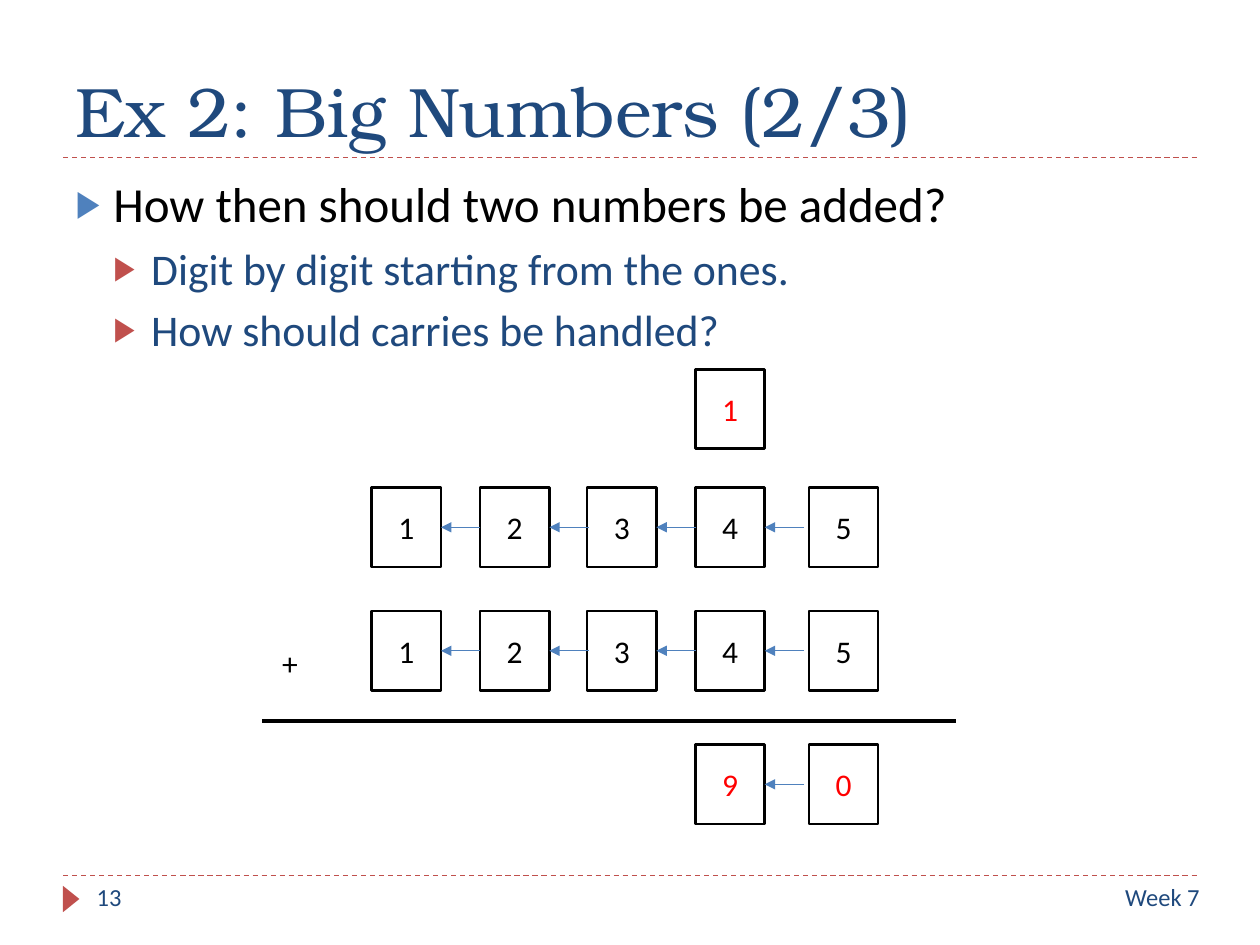
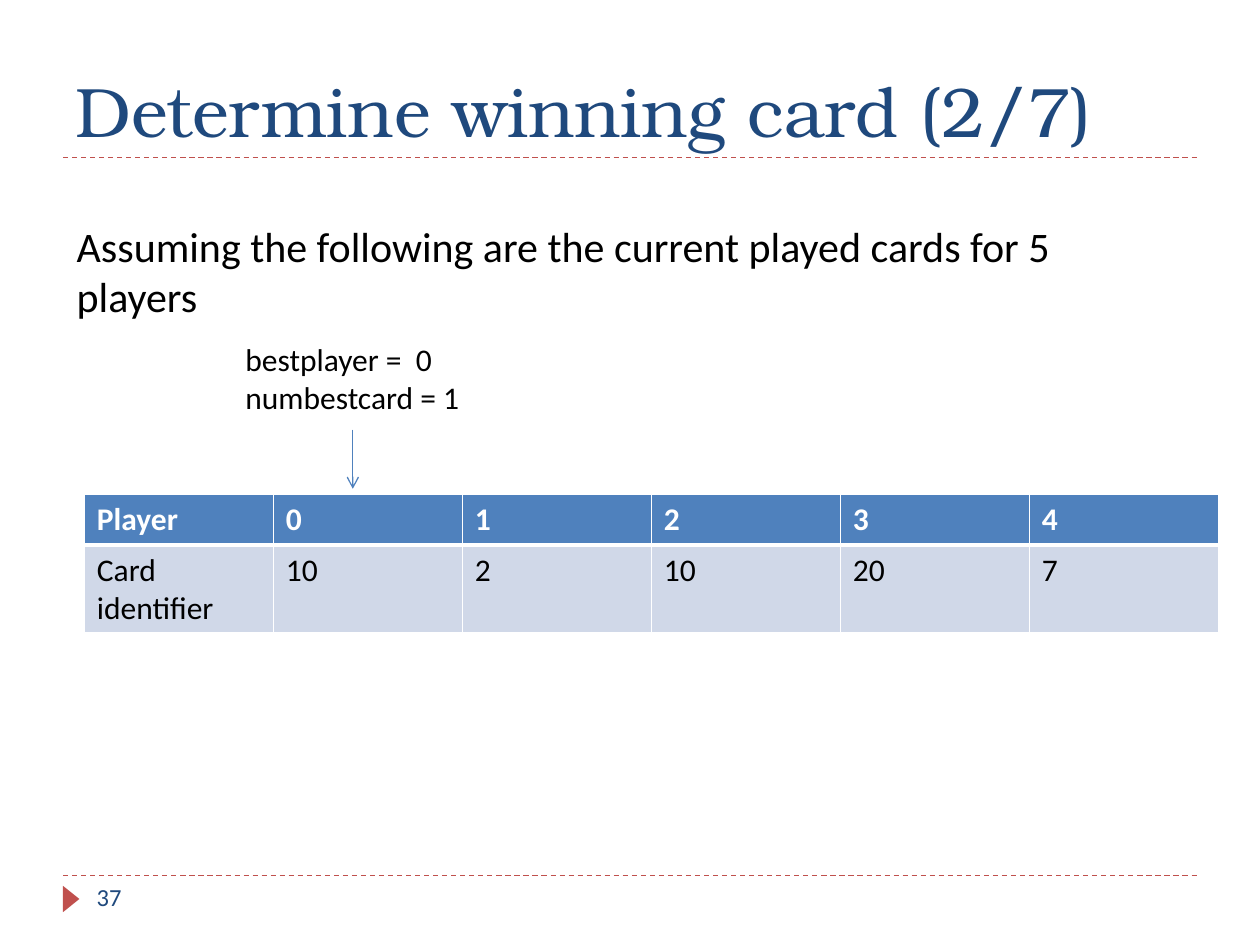
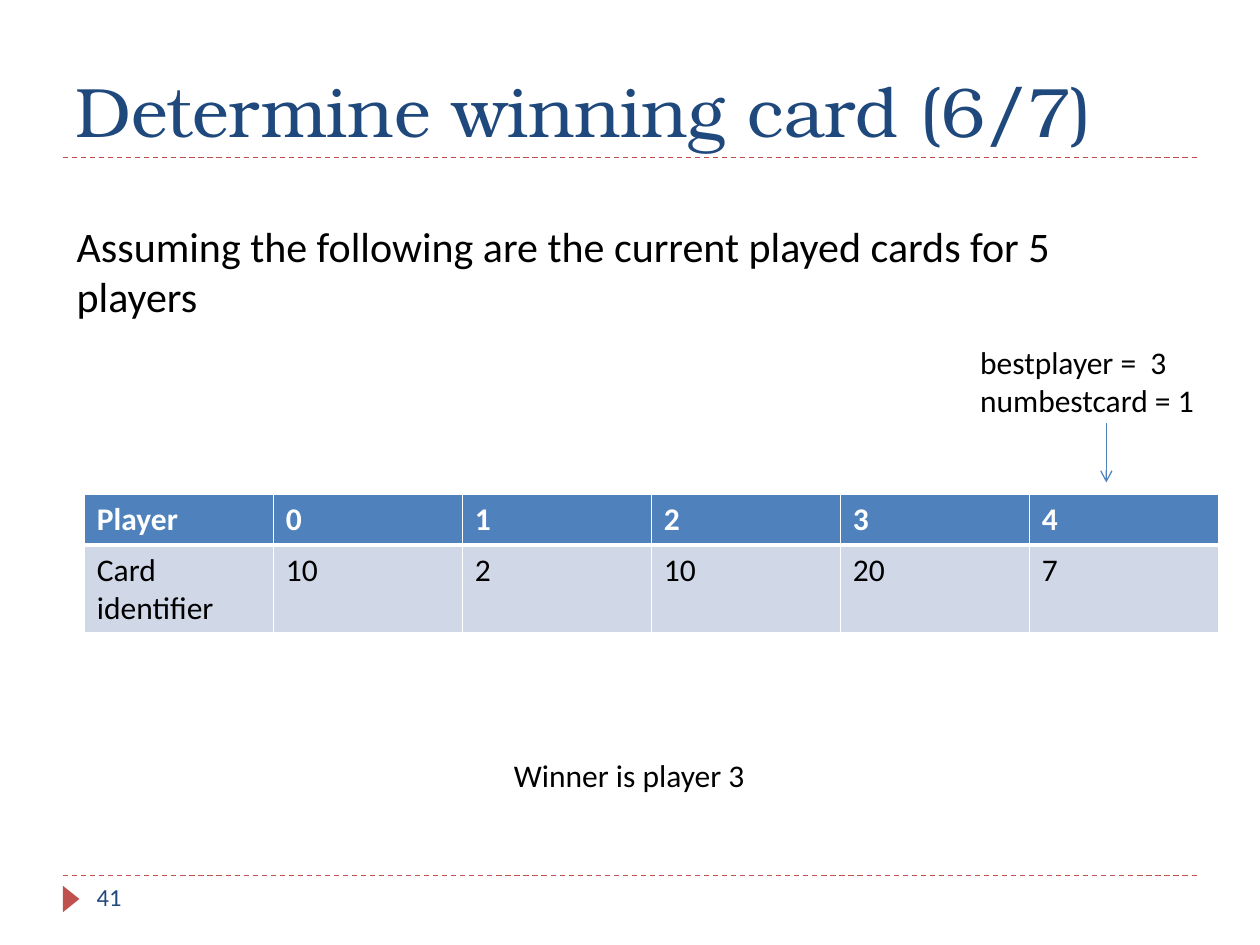
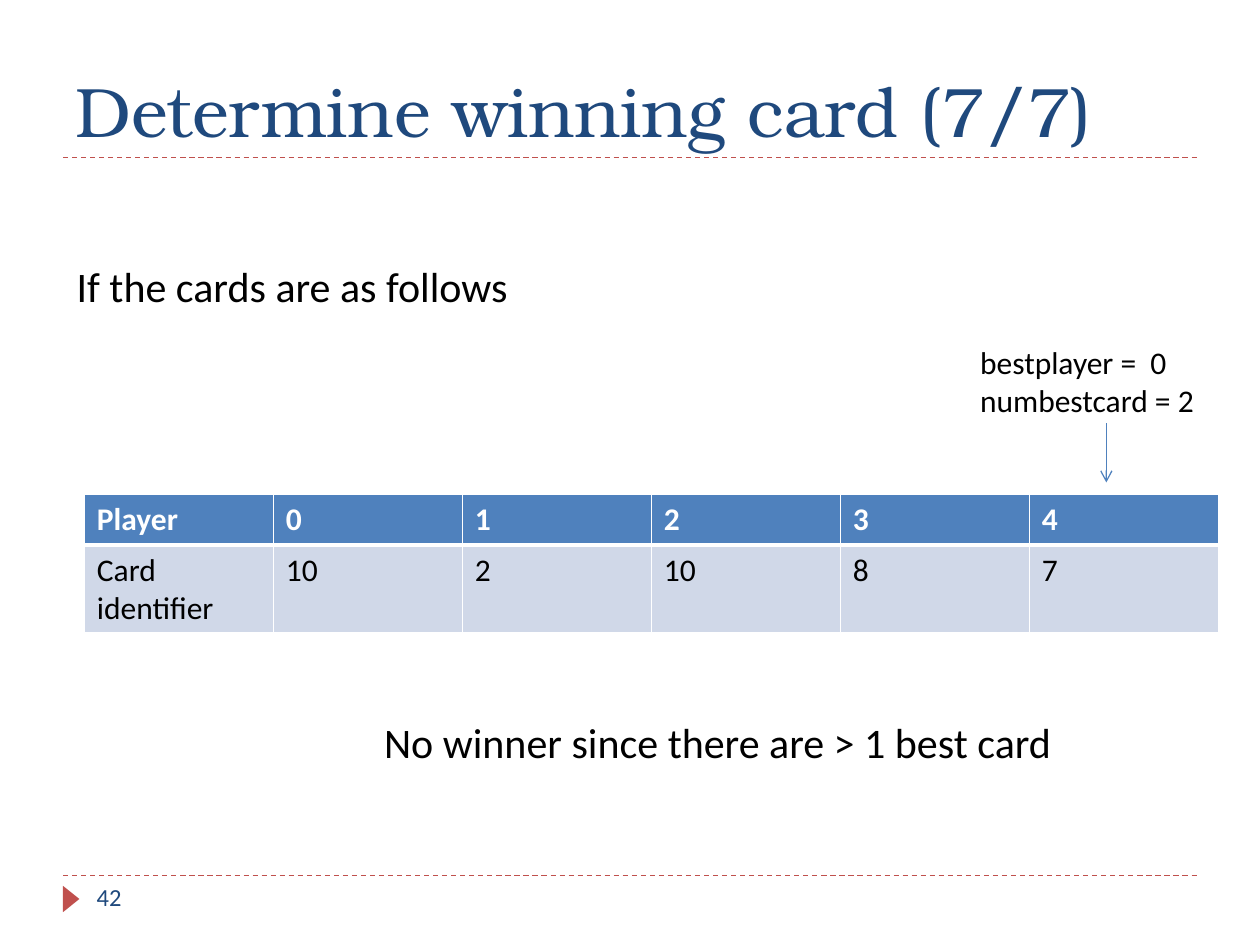
from lxml.etree import SubElement
from pptx import Presentation
from pptx.dml.color import RGBColor
from pptx.enum.dml import MSO_LINE
from pptx.enum.shapes import MSO_CONNECTOR, MSO_SHAPE
from pptx.enum.text import MSO_ANCHOR, MSO_AUTO_SIZE, PP_ALIGN
from pptx.oxml import parse_xml
from pptx.oxml.ns import nsdecls, qn
from pptx.util import Pt

# Shared style
NAVY, BLUE, RED, PALE = "1F497D", "4F81BD", "C0504D", "D0D8E8"
BLACK, WHITE, DIGIT_RED = "000000", "FFFFFF", "FF0000"
TITLE_FONT, TEXT_FONT = "TeX Gyre Bonum", "Calibri"
RULE_LEFT, RULE_RIGHT, TITLE_RULE, FOOTER_RULE = 36, 684, 90, 500.4

# Addition slide: bullets are (level, text), rows are (top, digits, colour, linked)
ADDITION = {
    "title": "Ex 2: Big Numbers (2/3)", "number": 13, "footer": "Week 7",
    "bullets": [(0, "How then should two numbers be added?"),
                (1, "Digit by digit starting from the ones."),
                (1, "How should carries be handled?")],
    "rows": [(211, {3: "1"}, DIGIT_RED),
             (278.6, dict(enumerate("12345")), BLACK),
             (349.2, dict(enumerate("12345")), BLACK),
             (425.5, {3: "9", 4: "0"}, DIGIT_RED)],
}
# Indent, space before, size, text colour and bullet colour of each level
LEVELS = [(21.6, 6, 28, BLACK, BLUE), (43.2, 5, 25, NAVY, RED)]
DIGIT_LEFTS = [212.4, 274.3, 335.5, 397.4, 462.2]
DIGIT_WIDTH, DIGIT_HEIGHT, LINK_LENGTH = 39.6, 45.4, 22.5

# Card slides: texts are (text, left, top, width, height, size)
PLAYERS = ["Player", "0", "1", "2", "3", "4"]
INTRO = ("Assuming the following are the current played cards for 5 players",
         36.7, 122.4, 572.4, 65.4, 24)
CARDS = ["Card identifier", "10", "2", "10", "20", "7"]
TIED_CARDS = ["Card identifier", "10", "2", "10", "8", "7"]
CARD_SLIDES = [
    {"title": "Determine winning card (2/7)", "number": 37, "cards": CARDS,
     "arrow": (201.6, 245.5),
     "texts": [INTRO, ("bestplayer =  0\nnumbestcard = 1", 133.2, 190.8, 158.4, 50.9, 18)]},
    {"title": "Determine winning card (6/7)", "number": 41, "cards": CARDS,
     "arrow": (632.2, 241.9),
     "texts": [INTRO, ("bestplayer =  3\nnumbestcard = 1", 553, 192.5, 158.4, 50.9, 18),
               ("Winner is player 3", 286.6, 428.4, 289.4, 29.1, 18)]},
    {"title": "Determine winning card (7/7)", "number": 42, "cards": TIED_CARDS,
     "arrow": (632.2, 241.9),
     "texts": [("If the cards are as follows", 36.7, 145.4, 572.4, 36.4, 24),
               ("bestplayer =  0\nnumbestcard = 2", 553, 192.5, 158.4, 50.9, 18),
               ("No winner since there are > 1 best card", 212.4, 406.1, 453.6, 36.4, 24)]},
]
TABLE_LEFT, TABLE_TOP, COLUMN_WIDTH, ROW_HEIGHTS = 48.2, 282.2, 108, (29.2, 50.4)
ARROW_LENGTH = 33.8


def colour(code):
    return RGBColor.from_string(code)


def points(*lengths):
    return [Pt(length) for length in lengths]


def place(shape, *bounds):
    shape.left, shape.top, shape.width, shape.height = points(*bounds)


def style(frame, size, code, font=TEXT_FONT, align=PP_ALIGN.LEFT, bold=False):
    for para in frame.paragraphs:
        para.alignment = align
        for span in para.runs:
            span.font.name, span.font.size, span.font.bold = font, Pt(size), bold
            span.font.color.rgb = colour(code)


def add_text(page, text, left, top, width, height, size,
             code=BLACK, align=PP_ALIGN.LEFT, wrap=True):
    box = page.shapes.add_textbox(*points(left, top, width, height))
    frame = box.text_frame
    frame.word_wrap = wrap
    frame.text = text
    style(frame, size, code, align=align)


def add_line(shapes, start, end, code, width=0.75, dashed=False, head=None):
    line = shapes.add_connector(MSO_CONNECTOR.STRAIGHT, *points(*start, *end))
    line.line.color.rgb = colour(code)
    line.line.width = Pt(width)
    if dashed:
        line.line.dash_style = MSO_LINE.DASH
    if head:
        SubElement(line.line._get_or_add_ln(), qn("a:tailEnd"), type=head)
    SubElement(line._element.spPr, qn("a:effectLst"))


def add_page(layout, content):
    """Add a slide with its title, both dashed rules, marker and footer."""
    page = deck.slides.add_slide(deck.slide_layouts[layout])
    for y in (FOOTER_RULE, TITLE_RULE):
        add_line(page.shapes, (RULE_LEFT, y), (RULE_RIGHT, y), RED, dashed=True)
    marker = page.shapes.add_shape(MSO_SHAPE.ISOSCELES_TRIANGLE,
                                   *points(33.1, 509, 15.1, 9.4))
    marker.rotation = 90
    marker.shadow.inherit = False
    marker.fill.solid()
    marker.fill.fore_color.rgb = colour(RED)
    marker.line.fill.background()

    title = page.shapes.title
    place(title, 36, 12.2, 648, 77.8)
    title.text_frame.text = content["title"]
    title.text_frame.vertical_anchor = MSO_ANCHOR.BOTTOM
    title.text_frame.auto_size = MSO_AUTO_SIZE.NONE
    style(title.text_frame, 40, NAVY, TITLE_FONT)

    add_text(page, str(content["number"]), 48.2, FOOTER_RULE, 156.2, 28.8, 14, NAVY)
    if "footer" in content:
        add_text(page, content["footer"], 416.9, FOOTER_RULE, 275.8, 28.8, 14, NAVY,
                 PP_ALIGN.RIGHT)
    return page


def fill_bullets(body, bullets):
    place(body, 36, 95.8, 648, 388.8)
    frame = body.text_frame
    frame.text = "\n".join(text for _, text in bullets)
    frame.auto_size = MSO_AUTO_SIZE.NONE
    style(frame, 28, BLACK)
    for para, (level, _) in zip(frame.paragraphs, bullets):
        indent, before, size, code, bullet_code = LEVELS[level]
        para.level = level
        para.space_before = Pt(before)
        para.runs[0].font.size = Pt(size)
        para.runs[0].font.color.rgb = colour(code)
        properties = para._p.get_or_add_pPr()
        properties.set("marL", str(Pt(indent)))
        properties.set("indent", str(-Pt(LEVELS[0][0])))
        tint = SubElement(properties, qn("a:buClr"))
        SubElement(tint, qn("a:srgbClr"), val=bullet_code)
        SubElement(properties, qn("a:buSzPct"), val="76000")
        SubElement(properties, qn("a:buChar"), char="\u25b6")


def add_digits(shapes, top, digits, code):
    """Draw a row of digit boxes, each linked to the box on its left."""
    for column, digit in digits.items():
        box = shapes.add_shape(MSO_SHAPE.RECTANGLE, *points(
            DIGIT_LEFTS[column], top, DIGIT_WIDTH, DIGIT_HEIGHT))
        box.shadow.inherit = False
        box.fill.solid()
        box.fill.fore_color.rgb = colour(WHITE)
        box.line.color.rgb = colour(BLACK)
        box.line.width = Pt(1.5)
        box.text_frame.text = digit
        box.text_frame.vertical_anchor = MSO_ANCHOR.MIDDLE
        style(box.text_frame, 18, code, align=PP_ALIGN.CENTER)
    for column in list(digits)[:-1]:
        edge, middle = DIGIT_LEFTS[column] + DIGIT_WIDTH, top + DIGIT_HEIGHT / 2
        add_line(shapes, (edge + LINK_LENGTH, middle), (edge, middle), BLUE,
                 head="triangle")


def set_borders(cell, top, bottom):
    properties = cell._tc.get_or_add_tcPr()
    for index, (side, width) in enumerate(zip("LRTB", (1, 1, top, bottom))):
        properties.insert(index, parse_xml(
            f'<a:ln{side} {nsdecls("a")} w="{Pt(width)}"><a:solidFill>'
            f'<a:srgbClr val="{WHITE}"/></a:solidFill></a:ln{side}>'))


def add_card_table(page, cards):
    rows = [(PLAYERS, BLUE, WHITE, True, 1, 3), (cards, PALE, BLACK, False, 3, 1)]
    table = page.shapes.add_table(len(rows), len(PLAYERS), *points(
        TABLE_LEFT, TABLE_TOP, COLUMN_WIDTH * len(PLAYERS), sum(ROW_HEIGHTS))).table
    table.horz_banding = False
    for r, (texts, fill, code, bold, top, bottom) in enumerate(rows):
        table.rows[r].height = Pt(ROW_HEIGHTS[r])
        for c, text in enumerate(texts):
            cell = table.cell(r, c)
            cell.text = text
            style(cell.text_frame, 18, code, bold=bold)
            cell.fill.solid()
            cell.fill.fore_color.rgb = colour(fill)
            set_borders(cell, top, bottom)


deck = Presentation()
deck.slide_width, deck.slide_height = points(720, 540)

# Addition slide
page = add_page(1, ADDITION)
fill_bullets(page.placeholders[1], ADDITION["bullets"])
add_text(page, "+", 154.1, 364.3, 25.2, 29.1, 18, wrap=False)
add_line(page.shapes, (149.8, 411.8), (546.5, 411.8), BLACK, 2.25)
for top, digits, code in ADDITION["rows"]:
    whole = len(digits) == len(DIGIT_LEFTS)
    holder = page.shapes.add_group_shape() if whole else page
    add_digits(holder.shapes, top, digits, code)

# Card slides
for content in CARD_SLIDES:
    page = add_page(5, content)
    add_card_table(page, content["cards"])
    x, y = content["arrow"]
    add_line(page.shapes, (x, y), (x, y + ARROW_LENGTH), BLUE, head="arrow")
    for text in content["texts"]:
        add_text(page, *text)

deck.save("out.pptx")
